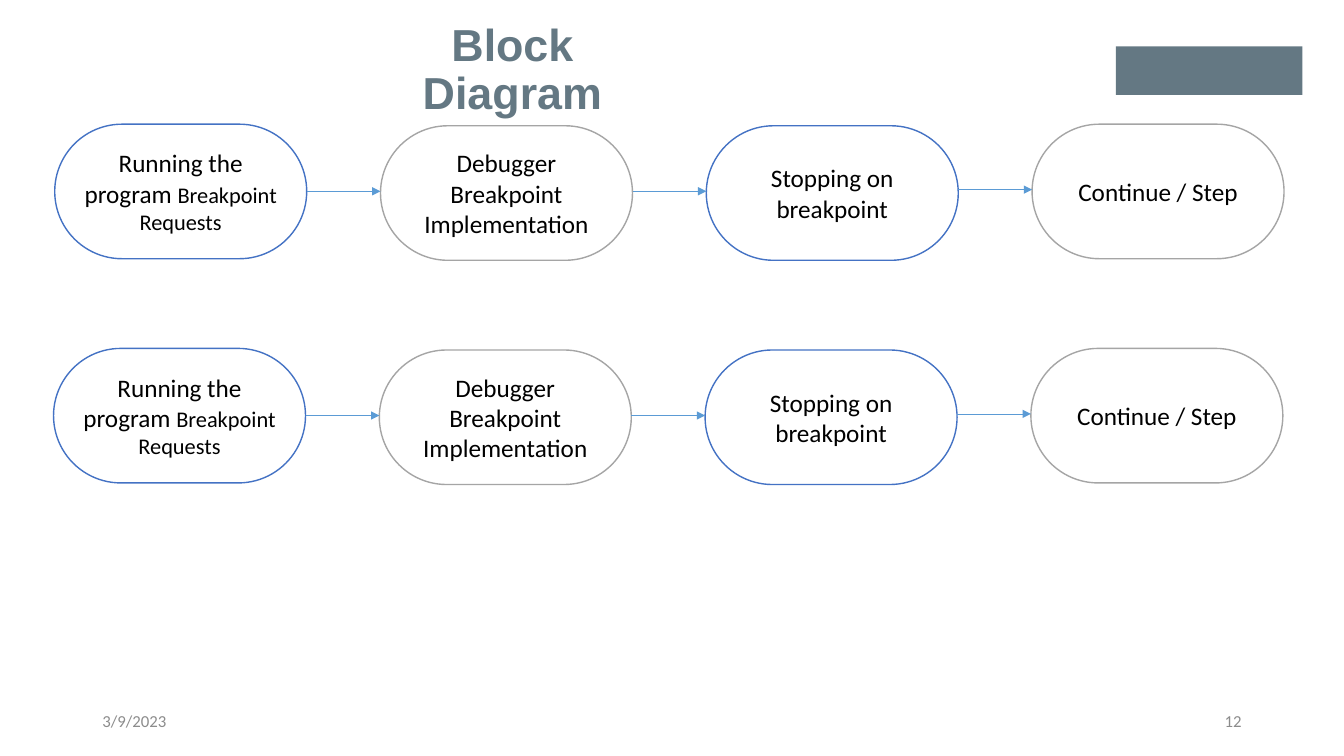
"""Build the block diagram slide: two rows of debugger steps joined by arrows."""
from dataclasses import dataclass

from lxml.etree import SubElement
from pptx import Presentation
from pptx.dml.color import RGBColor
from pptx.enum.shapes import MSO_CONNECTOR, MSO_SHAPE
from pptx.enum.text import MSO_ANCHOR, MSO_AUTO_SIZE, PP_ALIGN
from pptx.oxml.ns import qn
from pptx.util import Cm, Pt


@dataclass(frozen=True)
class Theme:
    heading_font: str = "Arial"
    body_font: str = "Calibri"
    slate: RGBColor = RGBColor(0x64, 0x78, 0x83)
    blue: RGBColor = RGBColor(0x44, 0x72, 0xC4)
    grey: RGBColor = RGBColor(0xA5, 0xA5, 0xA5)
    arrow: RGBColor = RGBColor(0x5B, 0x9B, 0xD5)
    muted: RGBColor = RGBColor(0x8C, 0x8C, 0x8C)
    black: RGBColor = RGBColor(0, 0, 0)
    white: RGBColor = RGBColor(255, 255, 255)
    title_size: Pt = Pt(32)
    step_size: Pt = Pt(18)
    detail_size: Pt = Pt(16)
    footer_size: Pt = Pt(12)


def style(font, name, size, color, bold=False):
    font.name, font.size, font.bold = name, size, bold
    font.color.rgb = color


theme = Theme()
deck = Presentation()
deck.slide_width, deck.slide_height = Cm(33.87), Cm(19.05)
page = deck.slides.add_slide(deck.slide_layouts[5])

title = page.shapes.title
title.left, title.top, title.width, title.height = Cm(9.12), Cm(0.99), Cm(7.59), Cm(1.6)
title.text_frame.text = "Block Diagram"
title.text_frame.word_wrap = True
title.text_frame.auto_size = MSO_AUTO_SIZE.NONE
title.text_frame.vertical_anchor = MSO_ANCHOR.MIDDLE
para = title.text_frame.paragraphs[0]
para.alignment, para.line_spacing = PP_ALIGN.CENTER, 0.9
style(para.font, theme.heading_font, theme.title_size, theme.slate, bold=True)

emblem = page.shapes.add_shape(MSO_SHAPE.RECTANGLE, Cm(28.12), Cm(1.17), Cm(4.7), Cm(1.22))
emblem.shadow.inherit = False
emblem.fill.solid()
emblem.fill.fore_color.rgb = theme.slate
emblem.line.fill.background()

steps = [
    ("Running the program ", "Breakpoint Requests", theme.blue, 0),
    ("Debugger Breakpoint Implementation", "", theme.grey, 0.04),
    ("Stopping on breakpoint", "", theme.blue, 0.04),
    ("Continue / Step", "", theme.grey, 0),
]
step_width, step_height, step_pitch = 6.35, 3.39, 8.21
arrow_drops = [1.69, 1.69, 1.65]

for row_left, row_top in [(1.38, 3.13), (1.35, 8.78)]:
    for column, (label, detail, outline, drop) in enumerate(steps):
        box = page.shapes.add_shape(
            MSO_SHAPE.ROUNDED_RECTANGLE,
            Cm(row_left + column * step_pitch), Cm(row_top + drop),
            Cm(step_width), Cm(step_height))
        box.adjustments[0] = 0.5
        box.shadow.inherit = False
        box.fill.solid()
        box.fill.fore_color.rgb = theme.white
        box.line.color.rgb = outline
        box.line.width = Pt(1)
        box.text_frame.word_wrap = True
        box.text_frame.vertical_anchor = MSO_ANCHOR.MIDDLE
        para = box.text_frame.paragraphs[0]
        para.alignment = PP_ALIGN.CENTER
        style(para.font, theme.body_font, theme.step_size, theme.black)
        para.add_run().text = label
        if detail:
            span = para.add_run()
            span.text = detail
            span.font.size = theme.detail_size

    for column, drop in enumerate(arrow_drops):
        start = row_left + column * step_pitch + step_width
        end = row_left + (column + 1) * step_pitch
        arrow = page.shapes.add_connector(
            MSO_CONNECTOR.STRAIGHT,
            Cm(start), Cm(row_top + drop), Cm(end), Cm(row_top + drop))
        arrow.line.color.rgb = theme.arrow
        arrow.line.width = Pt(0.5)
        SubElement(arrow.line._get_or_add_ln(), qn("a:tailEnd"), type="triangle")
        SubElement(arrow._element.spPr, qn("a:effectLst"))

for text, left, alignment in [("3/9/2023", 2.33, PP_ALIGN.LEFT), ("12", 23.92, PP_ALIGN.RIGHT)]:
    footer = page.shapes.add_textbox(Cm(left), Cm(17.65), Cm(7.62), Cm(1.02))
    footer.text_frame.word_wrap = True
    footer.text_frame.vertical_anchor = MSO_ANCHOR.MIDDLE
    para = footer.text_frame.paragraphs[0]
    para.text, para.alignment = text, alignment
    style(para.font, theme.body_font, theme.footer_size, theme.muted)

deck.save("out.pptx")
